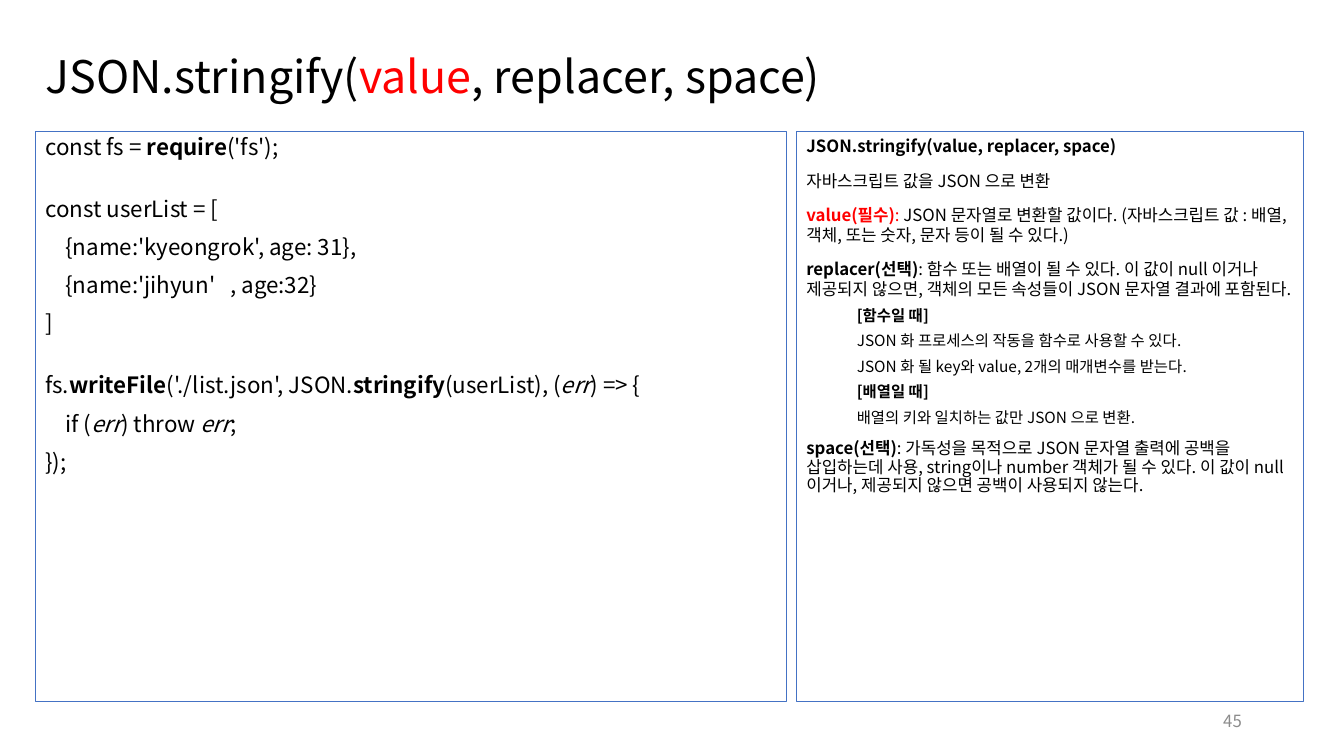
from lxml import etree
from pptx import Presentation
from pptx.dml.color import RGBColor
from pptx.enum.text import MSO_ANCHOR, MSO_AUTO_SIZE, PP_ALIGN
from pptx.oxml.ns import qn
from pptx.util import Pt

FONT = "Noto Sans CJK KR"
COLORS = {"text": "000000", "accent": "FF0000", "border": "4472C4", "number": "8C8C8C"}
BOLD = {"bold": True}
ITALIC = {"italic": True}
RED = {"color": "accent"}

PANEL_TOP, PANEL_HEIGHT = 93.6, 407.5
BLOCK_GAP = 27  # space above a new block of code

# Each paragraph is (spans, format); each span is (text, format).
CODE = [
    ([("const fs = ", {}), ("require", BOLD), ("('fs');", {})], {}),
    ([("const userList = [", {})], {"before": BLOCK_GAP}),
    ([("    {name:'kyeongrok', age: 31},", {})], {}),
    ([("    {name:'jihyun'   , age:32}", {})], {}),
    ([("]", {})], {}),
    ([("fs.", {}), ("writeFile", BOLD), ("('./list.json', JSON.", {}), ("stringify", BOLD),
      ("(userList), (", {}), ("err", ITALIC), (") => {", {})], {"before": BLOCK_GAP}),
    ([("    if (", {}), ("err", ITALIC), (") throw ", {}), ("err", ITALIC), (";", {})], {}),
    ([("});", {})], {}),
]

DETAIL = {"size": 11, "before": 5, "indent": 36, "level": 1}
NOTES = [
    ([("JSON.stringify(value, replacer, space)", BOLD)], {}),
    ([("자바스크립트 값을 JSON 으로 변환", {})], {}),
    ([("value(필수)", BOLD | RED), (": ", RED),
      ("JSON 문자열로 변환할 값이다. (자바스크립트 값 : 배열, 객체, 또는 숫자, 문자 등이 될 수 있다.)", {})], {}),
    ([("replacer(선택)", BOLD),
      (": 함수 또는 배열이 될 수 있다. 이 값이 null 이거나 제공되지 않으면, "
       "객체의 모든 속성들이 JSON 문자열 결과에 포함된다.", {})], {}),
    ([("[함수일 때]", BOLD)], DETAIL),
    ([("JSON 화 프로세스의 작동을 함수로 사용할 수 있다.", {})], DETAIL),
    ([("JSON 화 될 key와 value, 2개의 매개변수를 받는다.", {})], DETAIL),
    ([("[배열일 때]", BOLD)], DETAIL),
    ([("배열의 키와 일치하는 값만 JSON 으로 변환.", {})], DETAIL),
    ([("space(선택)", BOLD),
      (": 가독성을 목적으로 JSON 문자열 출력에 공백을 삽입하는데 사용, string이나 number 객체가 될 수 있다. "
       "이 값이 null이거나, 제공되지 않으면 공백이 사용되지 않는다.", {})], {"spacing": 0.9}),
]


def place(shape, left, top, width, height):
    shape.left, shape.top = Pt(left), Pt(top)
    shape.width, shape.height = Pt(width), Pt(height)


def add_span(para, text, *, size, color="text", bold=False, italic=False):
    span = para.add_run()
    span.text = text
    font = span.font
    font.size, font.bold, font.italic = Pt(size), bold, italic
    font.color.rgb = RGBColor.from_string(COLORS[color])
    font.name = FONT
    east_asian = etree.SubElement(span._r.get_or_add_rPr(), qn("a:ea"))
    east_asian.set("typeface", FONT)


def write_para(para, spans, *, size, before=0, spacing=1.0, indent=0, level=0,
               align=PP_ALIGN.LEFT):
    """Fill one paragraph without a bullet."""
    props = para._p.get_or_add_pPr()
    props.set("marL", str(Pt(indent)))
    props.set("indent", "0")
    etree.SubElement(props, qn("a:buNone"))
    para.level, para.alignment = level, align
    para.line_spacing, para.space_before, para.space_after = spacing, Pt(before), Pt(0)
    for text, style in spans:
        add_span(para, text, **({"size": size} | style))


def prepare_frame(shape, anchor):
    frame = shape.text_frame
    frame.word_wrap = True
    frame.auto_size = MSO_AUTO_SIZE.NONE
    frame.vertical_anchor = anchor
    return frame


def fill_panel(panel, left, width, paragraphs, **defaults):
    """Turn a body placeholder into a bordered panel of paragraphs."""
    place(panel, left, PANEL_TOP, width, PANEL_HEIGHT)
    panel.line.color.rgb = RGBColor.from_string(COLORS["border"])
    panel.line.width = Pt(0.75)
    frame = prepare_frame(panel, MSO_ANCHOR.TOP)
    for index, (spans, style) in enumerate(paragraphs):
        para = frame.add_paragraph() if index else frame.paragraphs[0]
        first = {} if index else {"before": 0}
        write_para(para, spans, **({"before": 10} | defaults | style | first))


def fill_title(title):
    place(title, 25.2, 28.8, 911.5, 55.4)
    frame = prepare_frame(title, MSO_ANCHOR.MIDDLE)
    spans = [("JSON.stringify(", {}), ("value", RED), (", replacer, space)", {})]
    write_para(frame.paragraphs[0], spans, size=32, spacing=0.9)


def add_page_number(page, number):
    box = page.shapes.add_textbox(Pt(678.2), Pt(500.4), Pt(216), Pt(28.8))
    frame = prepare_frame(box, MSO_ANCHOR.MIDDLE)
    write_para(frame.paragraphs[0], [(number, {"color": "number"})], size=12,
               align=PP_ALIGN.RIGHT)


def main():
    deck = Presentation()
    deck.slide_width, deck.slide_height = Pt(960), Pt(540)
    page = deck.slides.add_slide(deck.slide_layouts.get_by_name("Two Content"))
    title, code_panel, notes_panel = page.placeholders
    fill_title(title)
    fill_panel(code_panel, 25.2, 536.4, CODE, size=16, spacing=0.9)
    fill_panel(notes_panel, 568.8, 362.2, NOTES, size=12)
    add_page_number(page, "45")
    deck.save("out.pptx")


if __name__ == "__main__":
    main()
